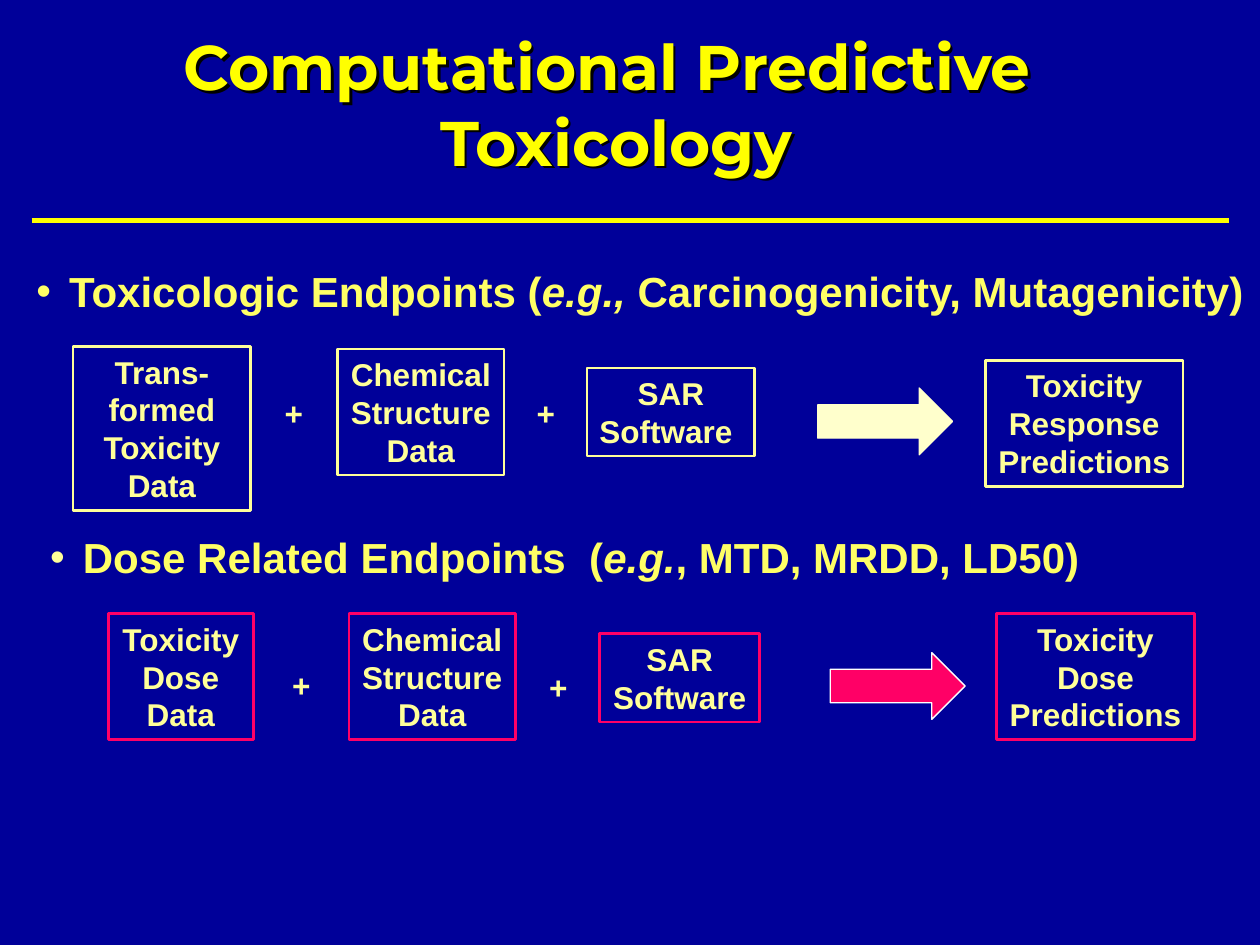
"""Build the Computational Predictive Toxicology slide."""
from dataclasses import dataclass
from typing import NamedTuple

from lxml.etree import SubElement
from pptx import Presentation
from pptx.dml.color import RGBColor as Color
from pptx.enum.shapes import MSO_CONNECTOR as Connector, MSO_SHAPE as Preset
from pptx.enum.text import MSO_ANCHOR as Anchor, MSO_AUTO_SIZE as Sizing, PP_ALIGN as Align
from pptx.oxml.ns import qn
from pptx.util import Inches, Pt

COLUMNS, ROWS = 100, 75
WIDTH, HEIGHT = Inches(10), Inches(7.5)


@dataclass(frozen=True)
class Theme:
    background: str = "000099"
    title: str = "FFFF00"
    heading: str = "FFFF66"
    body: str = "FFFF99"
    pink: str = "FF0066"
    cream: str = "FFFFCC"
    white: str = "FFFFFF"
    shadow: str = "000000"
    title_font: str = "Montserrat"
    body_font: str = "Arial"
    title_size: int = 36
    heading_size: int = 24
    body_size: int = 18
    frame_line: float = 1.5
    arrow_line: float = 0.75
    rule_line: float = 3


THEME = Theme()


class Area(NamedTuple):
    left: float
    top: float
    width: float
    height: float

    def lengths(self) -> tuple:
        across, down = WIDTH / COLUMNS, HEIGHT / ROWS
        return (round(self.left * across), round(self.top * down),
                round(self.width * across), round(self.height * down))


class Style(NamedTuple):
    size: int
    color: str
    font: str = THEME.body_font


class Stage(NamedTuple):
    lines: tuple
    left: float
    top: float
    width: float
    wrap: bool = False
    rows: int = 3
    last_align: Align = Align.CENTER


class Heading(NamedTuple):
    spans: tuple
    area: Area
    bullet: str
    anchor: Anchor


class Flow(NamedTuple):
    heading: Heading
    stages: tuple
    pluses: tuple
    arrow: Area
    frame: str
    arrow_fill: str
    arrow_edge: str


TITLE = Style(THEME.title_size, THEME.title, THEME.title_font)
HEADING = Style(THEME.heading_size, THEME.heading)
BODY = Style(THEME.body_size, THEME.body)

FLOWS = (
    Flow(
        Heading(("Toxicologic Endpoints (", "e.g.,", " Carcinogenicity, Mutagenicity)"),
                Area(1.9, 20.2, 98, 5.8), THEME.heading, Anchor.MIDDLE),
        (Stage(("Trans-formed", "Toxicity", "Data"), 5.8, 27.5, 14.1, True, 4),
         Stage(("Chemical", "Structure", "Data"), 26.8, 27.7, 13.2),
         Stage(("SAR", "Software"), 46.6, 29.2, 13.3, True, 2, Align.LEFT),
         Stage(("Toxicity", "Response", "Predictions"), 78.2, 28.6, 15.7)),
        (Area(21.6, 30.8, 3.9, 4), Area(41.6, 30.8, 3.9, 4)),
        Area(64.9, 30.8, 10.7, 5.3), THEME.body, THEME.cream, THEME.cream),
    Flow(
        Heading(("Dose Related Endpoints  (", "e.g.", ", MTD, MRDD, LD50)"),
                Area(3, 41.7, 94, 5), THEME.body, Anchor.TOP),
        (Stage(("Toxicity", "Dose", "Data"), 8.6, 48.7, 11.5),
         Stage(("Chemical", "Structure", "Data"), 27.7, 48.7, 13.2),
         Stage(("SAR", "Software"), 47.6, 50.3, 12.7, rows=2),
         Stage(("Toxicity", "Dose", "Predictions"), 79.1, 48.7, 15.7)),
        (Area(22.2, 52.4, 3.4, 4), Area(42.6, 52.5, 3.4, 4)),
        Area(65.9, 51.8, 10.7, 5.3), THEME.pink, THEME.pink, THEME.white),
)


def apply(target, values: dict) -> None:
    """Set each named attribute of the target."""
    for name, value in values.items():
        setattr(target, name, value)


def add_span(para, text: str, style: Style, italic: bool = False) -> None:
    """Append one formatted run to a paragraph."""
    span = para.add_run()
    span.text = text
    apply(span.font, {"name": style.font, "size": Pt(style.size),
                      "bold": True, "italic": italic})
    span.font.color.rgb = Color.from_string(style.color)


def write_lines(box, lines: tuple, style: Style, align: Align, wrap: bool,
                anchor: Anchor = Anchor.TOP) -> None:
    """Write one paragraph per line."""
    frame = box.text_frame
    apply(frame, {"word_wrap": wrap, "vertical_anchor": anchor})
    for index, text in enumerate(lines):
        para = frame.add_paragraph() if index else frame.paragraphs[0]
        para.alignment = align
        add_span(para, text, style)


def draw_title(page) -> None:
    """Draw the shadowed title and the rule below it."""
    box = page.shapes.add_textbox(*Area(9.7, 2.6, 77, 11.2).lengths())
    lines = ("Computational Predictive", " Toxicology")
    write_lines(box, lines, TITLE, Align.CENTER, False, Anchor.MIDDLE)
    effects = SubElement(box._element.spPr, qn("a:effectLst"))
    shadow = SubElement(effects, qn("a:outerShdw"), dist=str(Pt(2)), dir="2700000")
    SubElement(shadow, qn("a:srgbClr"), val=THEME.shadow)
    left, top, width, _ = Area(2.5, 17.5, 95, 0).lengths()
    rule = page.shapes.add_connector(Connector.STRAIGHT, left, top, left + width, top)
    rule.line.color.rgb = Color.from_string(THEME.title)
    rule.line.width = Pt(THEME.rule_line)
    SubElement(rule._element.spPr, qn("a:effectLst"))


def draw_heading(page, heading: Heading) -> None:
    """Draw a bulleted heading whose middle span is italic."""
    box = page.shapes.add_textbox(*heading.area.lengths())
    apply(box.text_frame, {"word_wrap": True, "vertical_anchor": heading.anchor})
    para = box.text_frame.paragraphs[0]
    layout = para._p.get_or_add_pPr()
    indent = Inches(0.26)
    layout.set("marL", str(indent))
    layout.set("indent", str(-indent))
    SubElement(SubElement(layout, qn("a:buClr")), qn("a:srgbClr"), val=heading.bullet)
    SubElement(layout, qn("a:buFont"), typeface=THEME.body_font)
    SubElement(layout, qn("a:buChar"), char="•")
    for index, text in enumerate(heading.spans):
        add_span(para, text, HEADING, italic=index == 1)


def draw_shape(page, preset: Preset, area: Area, edge: str, weight: float, fill: str = ""):
    """Draw an outlined preset shape, filled if a colour is given."""
    shape = page.shapes.add_shape(preset, *area.lengths())
    shape.shadow.inherit = False
    shape.line.color.rgb = Color.from_string(edge)
    shape.line.width = Pt(weight)
    if fill:
        shape.fill.solid()
        shape.fill.fore_color.rgb = Color.from_string(fill)
    else:
        shape.fill.background()
    return shape


def draw_flow(page, flow: Flow) -> None:
    """Draw a heading with its stages, plus signs and arrow."""
    draw_heading(page, flow.heading)
    for stage in flow.stages:
        area = Area(stage.left, stage.top, stage.width, 3 * stage.rows + 1)
        box = draw_shape(page, Preset.RECTANGLE, area, flow.frame, THEME.frame_line)
        write_lines(box, stage.lines, BODY, Align.CENTER, stage.wrap)
        box.text_frame.paragraphs[-1].alignment = stage.last_align
        box.text_frame.auto_size = Sizing.SHAPE_TO_FIT_TEXT
    for area in flow.pluses:
        box = page.shapes.add_textbox(*area.lengths())
        write_lines(box, ("+",), BODY, Align.LEFT, False)
    draw_shape(page, Preset.RIGHT_ARROW, flow.arrow, flow.arrow_edge,
               THEME.arrow_line, flow.arrow_fill)


def main() -> None:
    """Build and save the deck."""
    deck = Presentation()
    apply(deck, {"slide_width": WIDTH, "slide_height": HEIGHT})
    page = deck.slides.add_slide(deck.slide_layouts[6])
    page.background.fill.solid()
    page.background.fill.fore_color.rgb = Color.from_string(THEME.background)
    for flow in FLOWS:
        draw_flow(page, flow)
    draw_title(page)
    deck.save("out.pptx")


if __name__ == "__main__":
    main()
